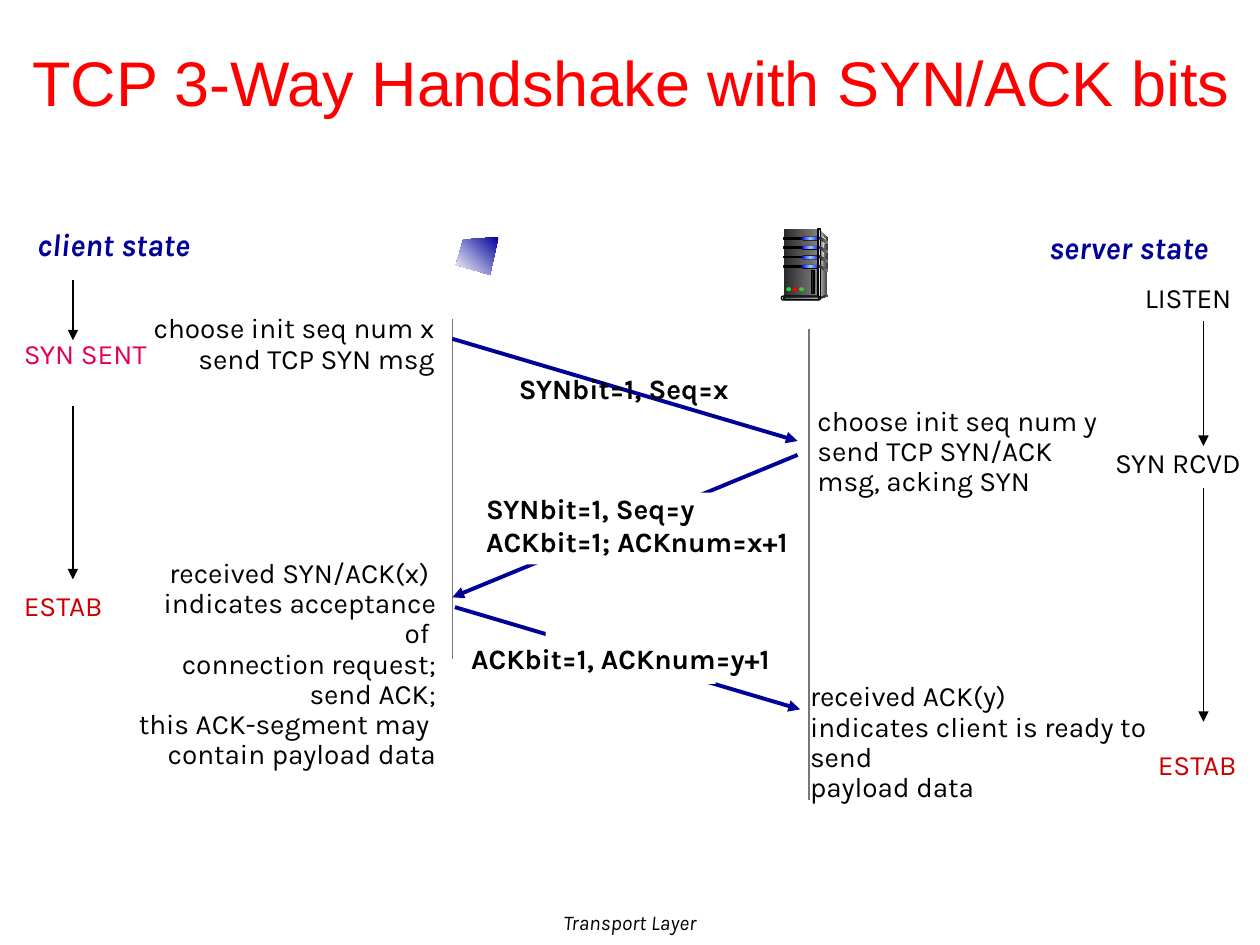
from collections import namedtuple
from copy import deepcopy

from lxml.etree import SubElement
from pptx import Presentation
from pptx.dml.color import RGBColor
from pptx.enum.shapes import MSO_CONNECTOR, MSO_SHAPE as SHAPE
from pptx.enum.text import MSO_ANCHOR, PP_ALIGN as ALIGN
from pptx.oxml.ns import qn
from pptx.util import Cm, Pt

BLACK = RGBColor(0x00, 0x00, 0x00)
WHITE = RGBColor(0xFF, 0xFF, 0xFF)
RED = RGBColor(0xFF, 0x00, 0x00)
STATE_RED = RGBColor(0xCC, 0x00, 0x00)
PINK = RGBColor(0xE4, 0x00, 0x59)
NAVY = RGBColor(0x00, 0x00, 0x99)
GREY = RGBColor(0x77, 0x77, 0x77)
GREEN = RGBColor(0x33, 0xCC, 0x33)
BLUE = RGBColor(0x00, 0x00, 0xFF)
SKY = RGBColor(0x99, 0xCC, 0xFF)
COAL = RGBColor(0x29, 0x29, 0x29)
DARK = RGBColor(0x33, 0x33, 0x33)
STEEL = RGBColor(0x66, 0x66, 0x66)
MEDIUM = RGBColor(0x80, 0x80, 0x80)
SILVER = RGBColor(0xD2, 0xD2, 0xD2)
LIGHT = RGBColor(0xDD, 0xDD, 0xDD)
PALE = RGBColor(0xF8, 0xF8, 0xF8)

Box = namedtuple("Box", "left top width height")


def inside(box, left, top, width, height):
    """Return a box given relative to the corner of another."""
    return Box(box.left + left, box.top + top, width, height)


def add_text(slide, box, lines, size=16, color=BLACK, font="Karla", bold=False, italic=False,
             align=ALIGN.LEFT, spacing=None, anchor=MSO_ANCHOR.TOP, wrap=True):
    """Add a text box with one paragraph per line."""
    text_frame = slide.shapes.add_textbox(*map(Cm, box)).text_frame
    text_frame.word_wrap = wrap
    text_frame.vertical_anchor = anchor
    text_frame.text = "\n".join(lines)
    for paragraph in text_frame.paragraphs:
        paragraph.alignment = align
        paragraph.line_spacing = spacing
        for run in paragraph.runs:
            run.font.name = font
            run.font.size = Pt(size)
            run.font.bold = bold
            run.font.italic = italic
            run.font.color.rgb = color


def add_line(slide, start, end, color=BLACK, width=0.75, arrow=True):
    """Add a straight line, with an arrowhead at its end if wanted."""
    connector = slide.shapes.add_connector(MSO_CONNECTOR.STRAIGHT, *map(Cm, start + end))
    connector.line.color.rgb = color
    connector.line.width = Pt(width)
    if arrow:
        SubElement(connector.line._get_or_add_ln(), qn("a:tailEnd"), type="triangle")
    SubElement(connector._element.spPr, qn("a:effectLst"))


def paint(shape, colors, angle=0, outlined=False):
    """Fill a shape with one colour or an even gradient of several."""
    shape.shadow.inherit = False
    if len(colors) == 1:
        shape.fill.solid()
        shape.fill.fore_color.rgb = colors[0]
    else:
        shape.fill.gradient()
        shape.fill.gradient_angle = angle
        stop_list = shape._element.spPr.find(".//" + qn("a:gsLst"))
        while len(stop_list) < len(colors):
            stop_list.append(deepcopy(stop_list[0]))
        for index, stop in enumerate(shape.fill.gradient_stops):
            stop.color.rgb = colors[index]
            stop.position = index / (len(colors) - 1)
    if outlined:
        shape.line.color.rgb = BLACK
        shape.line.width = Pt(0.75)
    else:
        shape.line.fill.background()


def add_block(slide, kind, box, *colors, outlined=False):
    """Add a painted preset shape."""
    shape = slide.shapes.add_shape(kind, *map(Cm, box))
    if kind == SHAPE.ROUNDED_RECTANGLE:
        shape.adjustments[0] = 0.5
    paint(shape, colors, outlined=outlined)


def add_polygon(slide, box, points, *colors, angle=0):
    """Add a painted outline whose points are relative to the box."""
    places = [(Cm(box.left + x), Cm(box.top + y)) for x, y in points]
    builder = slide.shapes.build_freeform(*places[0])
    builder.add_line_segments(places[1:], close=True)
    paint(builder.convert_to_shape(), colors, angle)


def draw_message(slide, box, label, label_box, leftward=False, cover=None):
    """Draw one message arrow across the box with its label."""
    right, bottom = box.left + box.width, box.top + box.height
    if leftward:
        add_line(slide, (right, box.top), (box.left, bottom), NAVY, 2.25)
    else:
        add_line(slide, (box.left, box.top), (right, bottom), NAVY, 2.25)
    if cover:
        add_block(slide, SHAPE.RECTANGLE, inside(box, *cover), WHITE)
    add_text(slide, inside(box, *label_box), label, bold=True)


def draw_exchange(slide, box):
    """Draw both timelines, the three messages and the notes beside them."""
    for x, top, bottom in ((0, 0, 6.85), (7.19, 0.2, 9.7)):
        add_line(slide, (box.left + x, box.top + top), (box.left + x, box.top + bottom),
                 GREY, arrow=False)
    draw_message(slide, inside(box, 0, 0.4, 6.96, 2.06), ["SYNbit=1, Seq=x"],
                 (1.09, 0.54, 5.51, 0.94))
    draw_message(slide, inside(box, 0, 2.74, 6.96, 2.87),
                 ["SYNbit=1, Seq=y", "ACKbit=1; ACKnum=x+1"], (0.43, 0.61, 7.75, 1.63),
                 leftward=True, cover=(1.42, 0.76, 3.96, 1.45))
    draw_message(slide, inside(box, 0.05, 5.81, 6.96, 2.06), ["ACKbit=1, ACKnum=y+1"],
                 (0.08, 0.56, 7.7, 0.94), cover=(1.83, 0.36, 3.43, 1.19))
    notes = (
        ((-6.28, -0.21, 6.17, 1.5), ALIGN.RIGHT, False,
         ["choose init seq num x", "send TCP SYN msg"]),
        ((7.11, 1.65, 6.2, 2.11), ALIGN.LEFT, True,
         ["choose init seq num y", "send TCP SYN/ACK", "msg, acking SYN"]),
        ((-6.61, 4.72, 6.53, 3.96), ALIGN.RIGHT, True,
         ["received SYN/ACK(x) ", "indicates acceptance of ", "connection request;",
          "send ACK;", "this ACK-segment may ", "contain payload data"]),
        ((6.96, 7.21, 8.41, 2.11), ALIGN.LEFT, True,
         ["received ACK(y)", "indicates client is ready to send", "payload data"]),
    )
    for place, align, wrap, lines in notes:
        add_text(slide, inside(box, *place), lines, align=align, spacing=0.9, wrap=wrap)


def draw_states(slide, box, heading, states, arrow_x, arrows):
    """Draw a column of states joined by downward arrows under a heading."""
    add_text(slide, Box(box.left, box.top, box.width, 1.8), [heading], 18, NAVY,
             bold=True, italic=True, align=ALIGN.RIGHT)
    for name, left, top, width, color in states:
        add_text(slide, inside(box, left, top, width, 0.94), [name], color=color)
    x = box.left + arrow_x
    for top, bottom in arrows:
        add_line(slide, (x, box.top + top), (x, box.top + bottom))


def draw_client(slide, box):
    """Draw the tilted client screen."""
    corners = [(box.width, 0), (0.15, 0.05), (0, 0.56), (0.69, box.height)]
    add_polygon(slide, box, corners, NAVY, WHITE, angle=225)


def draw_server(slide, box):
    """Draw the server tower with its drive slots, base and lamps."""
    add_polygon(slide, box, [(0.79, 0.03), (0.94, 0.18), (0.91, 1.32), (0.74, 1.37)], LIGHT, DARK)
    add_block(slide, SHAPE.RECTANGLE, inside(box, 0.05, 0, 0.69, 1.35), COAL, MEDIUM)
    add_polygon(slide, box, [(0.79, 0.1), (0.89, 0.2), (0.81, 0.8), (0.79, 1.35)], MEDIUM, PALE)
    slots = [0.17 + 0.19 * row for row in range(4)]
    for y in slots:
        add_block(slide, SHAPE.RECTANGLE, inside(box, 0.05, y, 0.38, 0.03), BLACK, outlined=True)
        add_block(slide, SHAPE.ROUNDED_RECTANGLE, inside(box, 0.41, y - 0.02, 0.38, 0.08), BLACK)
        add_block(slide, SHAPE.ROUNDED_RECTANGLE, inside(box, 0.41, y - 0.01, 0.36, 0.06),
                  BLUE, SKY, BLUE)
    add_block(slide, SHAPE.RECTANGLE, inside(box, 0.74, 0, 0.05, 1.37),
              DARK, LIGHT, DARK, outlined=True)
    for y in slots:
        notch = [(0.76, y - 0.02), (0.94, y + 0.08), (0.94, y + 0.13), (0.76, y + 0.03)]
        add_polygon(slide, box, notch, COAL, MEDIUM)
    add_block(slide, SHAPE.OVAL, inside(box, 0.91, 1.32, 0.03, 0.05), DARK)
    add_polygon(slide, box, [(0.76, 1.37), (0.76, 1.42), (0.91, 1.37), (0.91, 1.32)], DARK)
    add_block(slide, SHAPE.ROUNDED_RECTANGLE, inside(box, 0, 1.35, 0.79, 0.08),
              LIGHT, outlined=True)
    add_block(slide, SHAPE.ROUNDED_RECTANGLE, inside(box, 0.05, 1.37, 0.71, 0.05),
              STEEL, SILVER, outlined=True)
    for index, color in enumerate((GREEN, RED, GREEN)):
        add_block(slide, SHAPE.OVAL, inside(box, 0.1 + 0.13 * index, 1.17, 0.1, 0.08), color)
    add_block(slide, SHAPE.RECTANGLE, inside(box, 0.61, 0.84, 0.05, 0.46), COAL, outlined=True)


def main():
    """Build the handshake slide and save it."""
    presentation = Presentation()
    presentation.slide_width, presentation.slide_height = Cm(25.4), Cm(19.05)
    slide = presentation.slides.add_slide(presentation.slide_layouts[6])
    add_text(slide, Box(0, 18.21, 25.4, 0.84), ["Transport Layer"], 12,
             italic=True, align=ALIGN.CENTER)
    add_text(slide, Box(0.23, 0.46, 24.99, 2.36), ["TCP 3-Way Handshake with SYN/ACK bits"],
             36, RED, "Arial", align=ALIGN.CENTER, anchor=MSO_ANCHOR.MIDDLE)
    draw_exchange(slide, Box(9.12, 6.43, 7.19, 9.7))
    draw_states(slide, Box(-0.03, 4.42, 4.11, 8.25), "client state",
                [("SYN SENT", 0.26, 2.23, 3.07, PINK), ("ESTAB", 0.26, 7.31, 2.13, STATE_RED)],
                1.5, [(1.22, 2.44), (3.76, 7.26)])
    draw_states(slide, Box(20.27, 4.47, 4.34, 11.41), "server state",
                [("LISTEN", 2.56, 1.07, 2.34, BLACK), ("SYN RCVD", 1.96, 4.39, 3.1, BLACK),
                 ("ESTAB", 2.82, 10.47, 2.13, STATE_RED)],
                3.99, [(2.01, 4.52), (5.36, 10.08)])
    draw_client(slide, Box(9.19, 4.78, 0.86, 0.76))
    draw_server(slide, Box(15.75, 4.62, 0.97, 1.45))
    presentation.save("out.pptx")


if __name__ == "__main__":
    main()
